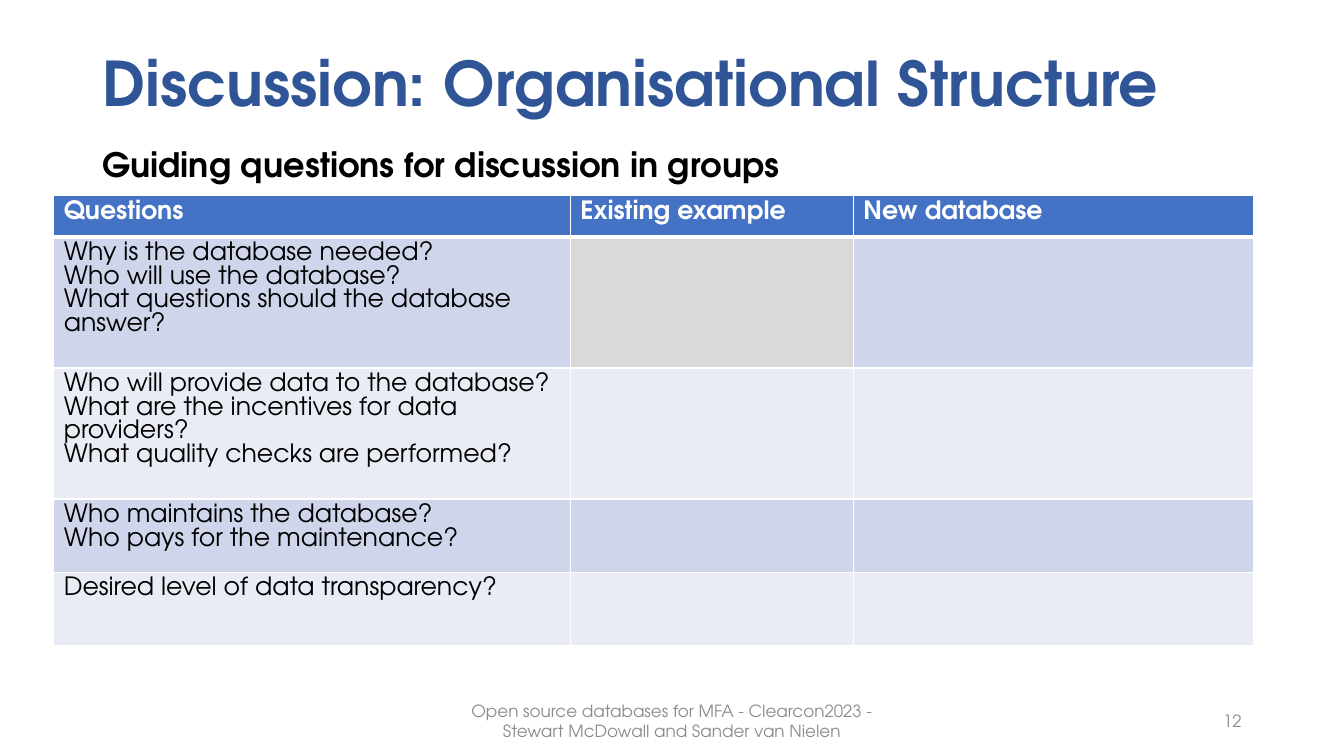
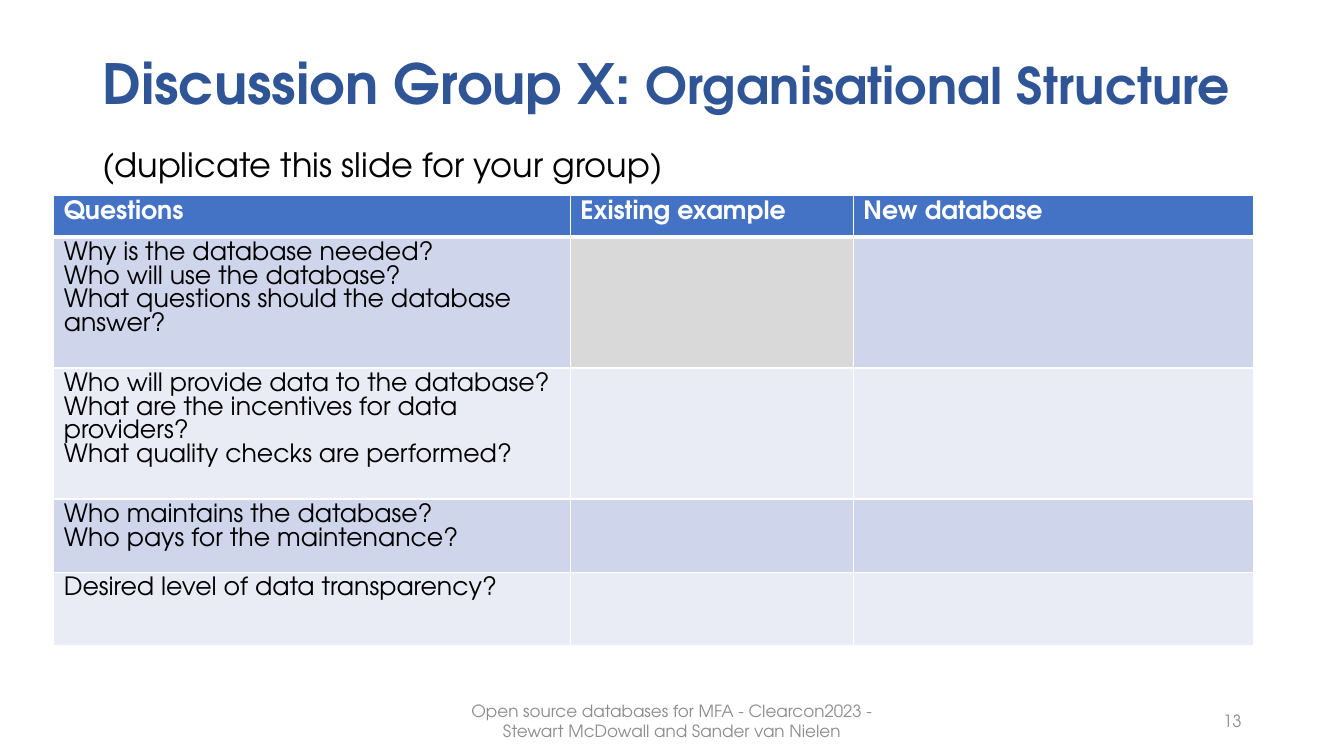
from lxml.etree import SubElement
from pptx import Presentation
from pptx.dml.color import RGBColor
from pptx.enum.text import MSO_ANCHOR as Anchor, PP_ALIGN as Align
from pptx.oxml.ns import qn
from pptx.util import Inches, Pt

FONT = "TeX Gyre Adventor"
WHITE, BLACK, GREY = "FFFFFF", "000000", "8C8C8C"
TITLE_BLUE, HEADER_BLUE = "2F5597", "4472C4"
BANDS = ("CFD5EA", "E9EBF5")
NOT_APPLICABLE = "D9D9D9"

FOOTER = "Open source databases for MFA - Clearcon2023 - Stewart McDowall and Sander van Nielen"
HEADINGS = ("Questions", "Existing example", "New database")
QUESTIONS = (
    ("Why is the database needed?",
     "Who will use the database?",
     "What questions should the database answer?"),
    ("Who will provide data to the database?",
     "What are the incentives for data providers?",
     "What quality checks are performed?"),
    ("Who maintains the database?",
     "Who pays for the maintenance?"),
    ("Desired level of data transparency?",),
)
COLUMN_WIDTHS = (61.5, 33.7, 47.6)
HEADER_HEIGHT, ROW_HEIGHT = 4.9, 8.7
ROW_HEIGHTS = (HEADER_HEIGHT,) + (ROW_HEIGHT,) * len(QUESTIONS)


def grid(units):
    """Length of grid units; the slide measures 160 by 90 of them."""
    return Inches(units / 12)


def color(hex_code):
    return RGBColor.from_string(hex_code)


def style(font, size, hex_code, bold=False):
    font.name, font.size, font.bold = FONT, Pt(size), bold
    font.color.rgb = color(hex_code)


class Deck:
    """Holds the shared style and the slide being built."""

    def __init__(self):
        self.prs = Presentation()
        self.prs.slide_width, self.prs.slide_height = grid(160), grid(90)
        self.slide = None

    def new_slide(self, number):
        self.slide = self.prs.slides.add_slide(self.prs.slide_layouts[6])
        self.footer_text(FOOTER, 53, 54, Align.CENTER)
        self.footer_text(str(number), 113, 36, Align.RIGHT)

    def text_line(self, left, top, width, height, anchor=Anchor.MIDDLE):
        """Add a wrapping text box and return its only paragraph."""
        frame = self.slide.shapes.add_textbox(
            *map(grid, (left, top, width, height))).text_frame
        frame.word_wrap = True
        frame.vertical_anchor = anchor
        return frame.paragraphs[0]

    def footer_text(self, text, left, width, align):
        line = self.text_line(left, 83.4, width, 4.8)
        line.text, line.alignment = text, align
        style(line.font, 12, GREY)

    def title(self, *parts):
        """Add the title from (text, size) parts."""
        line = self.text_line(11, 4.8, 138, 10.9)
        line.line_spacing = 0.9
        for text, size in parts:
            run = line.add_run()
            run.text = text
            style(run.font, size, TITLE_BLUE, True)

    def subtitle(self, text, bold):
        line = self.text_line(11, 17.1, 138, 6, Anchor.TOP)
        line.text = text
        line.line_spacing, line.space_before = 0.9, Pt(10)
        style(line.font, 24, BLACK, bold)

    def cell(self, cell, lines, fill, text_color, bold=False, **thick):
        """Fill a cell; thick gives widths of sides that are not 1 pt."""
        properties = cell._tc.get_or_add_tcPr()
        for side in "LRTB":
            border = SubElement(properties, qn(f"a:ln{side}"),
                                w=str(Pt(thick.get(side, 1))))
            solid = SubElement(border, qn("a:solidFill"))
            SubElement(solid, qn("a:srgbClr"), val=WHITE)
        cell.fill.solid()
        cell.fill.fore_color.rgb = color(fill)
        cell.text = "\n".join(lines)
        for paragraph in cell.text_frame.paragraphs:
            style(paragraph.font, 18, text_color, bold)

    def question_table(self):
        table = self.slide.shapes.add_table(
            len(ROW_HEIGHTS), len(COLUMN_WIDTHS), grid(6.4), grid(23.3),
            grid(sum(COLUMN_WIDTHS)), grid(sum(ROW_HEIGHTS))).table
        for column, width in zip(table.columns, COLUMN_WIDTHS):
            column.width = grid(width)
        for row, height in zip(table.rows, ROW_HEIGHTS):
            row.height = grid(height)
        for col, heading in enumerate(HEADINGS):
            self.cell(table.cell(0, col), [heading], HEADER_BLUE, WHITE, True, B=3)
        for row, questions in enumerate(QUESTIONS, 1):
            for col in range(len(HEADINGS)):
                fill = NOT_APPLICABLE if (row, col) == (1, 1) else BANDS[(row - 1) % 2]
                self.cell(table.cell(row, col), questions if col == 0 else (),
                          fill, BLACK, T=3 if row == 1 else 1)


def main():
    deck = Deck()
    slides = (
        ([("Discussion: Organisational Structure", 44)],
         "Guiding questions for discussion in groups", True),
        ([("Discussion Group X:", 39.6), (" Organisational Structure", 36)],
         "(duplicate this slide for your group)", False),
    )
    for number, (title, subtitle, bold) in enumerate(slides, 12):
        deck.new_slide(number)
        deck.title(*title)
        deck.subtitle(subtitle, bold)
        deck.question_table()
    deck.prs.save("out.pptx")


if __name__ == "__main__":
    main()
